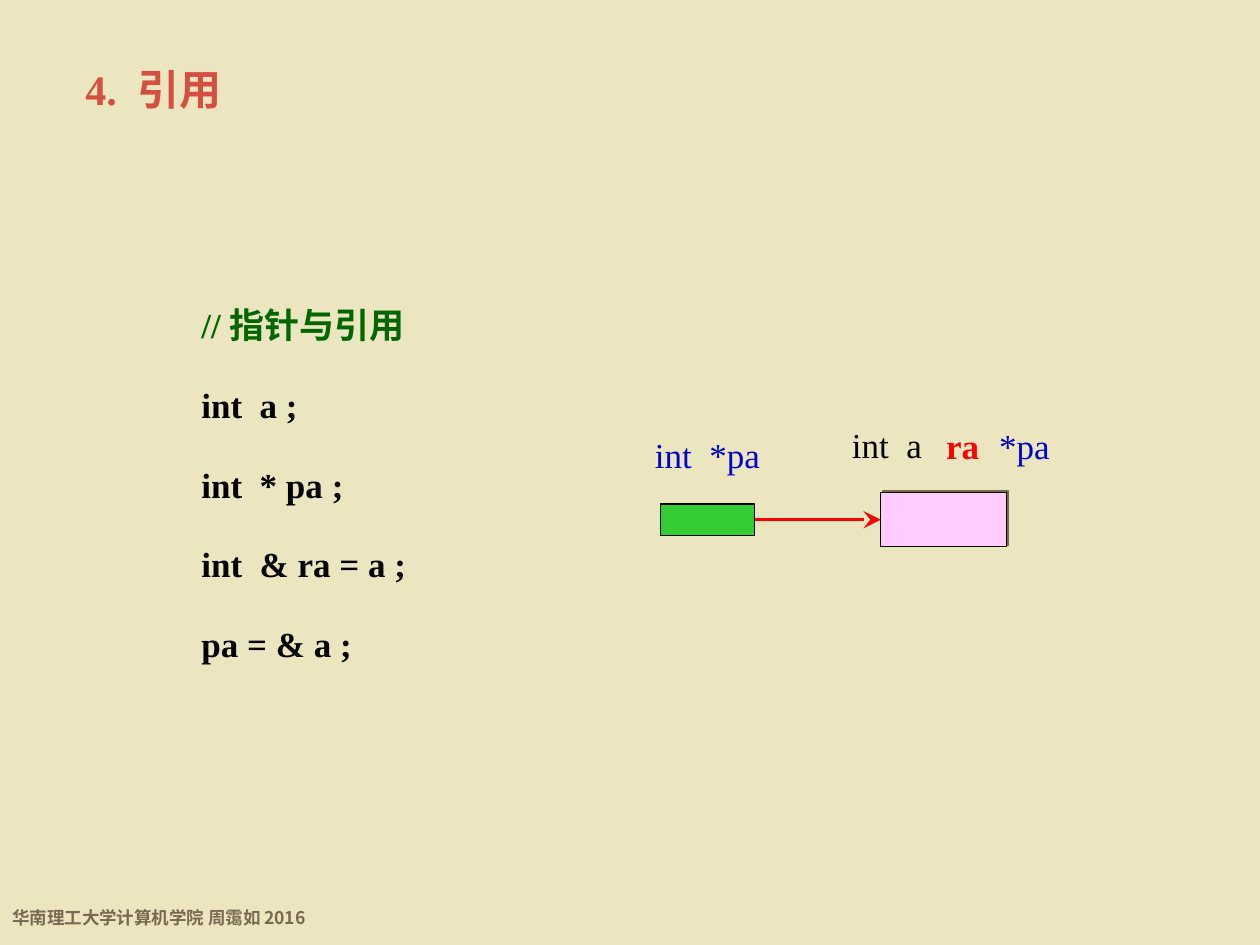
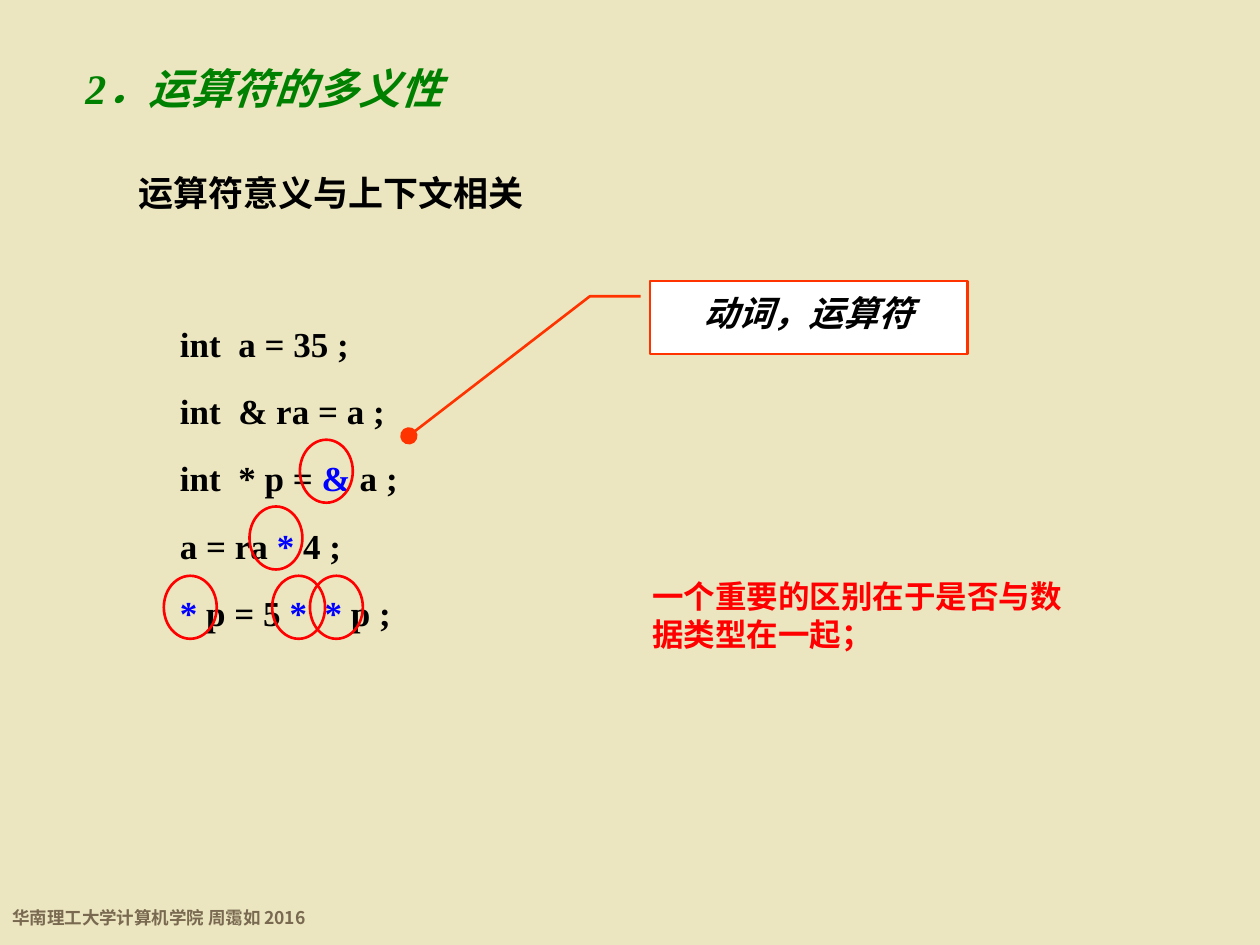
import pptx
import pptx.dml.color
import pptx.enum.dml
import pptx.enum.shapes
import pptx.enum.text
import pptx.oxml.ns
import pptx.util
from lxml import etree

Inches = pptx.util.Inches
Pt = pptx.util.Pt
SHAPE = pptx.enum.shapes.MSO_SHAPE
ALIGN = pptx.enum.text.PP_ALIGN
qn = pptx.oxml.ns.qn

SERIF = "Times New Roman"
SANS = "Noto Sans CJK SC"
BACKGROUND, FOOTER_BROWN = "ECE6C0", "786950"
BLACK, RED, POINTER_BLUE = "000000", "FF0000", "0000CC"


def color(hex_code):
    return pptx.dml.color.RGBColor.from_string(hex_code)


def write(shape, lines, size=20, ink=BLACK, bold=True, italic=False, font=SERIF,
          spacing=1.0, align=ALIGN.LEFT, wrap=True, grow=True):
    """Each line is a list of runs; the line's style is set on its paragraph."""
    frame = shape.text_frame
    frame.word_wrap = wrap
    frame.vertical_anchor = pptx.enum.text.MSO_ANCHOR.TOP
    if grow:
        frame.auto_size = pptx.enum.text.MSO_AUTO_SIZE.SHAPE_TO_FIT_TEXT
    for i, runs in enumerate(lines):
        paragraph = frame.add_paragraph() if i else frame.paragraphs[0]
        paragraph.alignment, paragraph.line_spacing = align, spacing
        style = paragraph.font
        style.size, style.name = Pt(size), font
        style.bold, style.italic = bold, italic
        style.color.rgb = color(ink)
        for words in runs:
            paragraph.add_run().text = words
    return frame


prs = pptx.Presentation()
prs.slide_width, prs.slide_height = Inches(10), Inches(7.5)
blank = prs.slide_layouts[6]

# Shared background and footer
prs.slide_master.background.fill.solid()
prs.slide_master.background.fill.fore_color.rgb = color(BACKGROUND)
reference_slide, operator_slide = [prs.slides.add_slide(blank) for _ in range(2)]
for slide in prs.slides:
    footer = slide.shapes.add_textbox(Inches(0), Inches(7.08), Inches(2.66), Inches(0.34))
    write(footer, [["华南理工大学计算机学院 周霭如 2016"]], size=10, ink=FOOTER_BROWN,
          font=SANS, spacing=1.4, wrap=False)

# Slide 1: title
shapes = reference_slide.shapes
title = shapes.add_textbox(Inches(0.58), Inches(0.33), Inches(8.92), Inches(0.75))
write(title, [["4.  引用"]], size=24, ink="D54F41", grow=False)
title.text_frame.vertical_anchor = pptx.enum.text.MSO_ANCHOR.MIDDLE

# Declarations under a green comment
declarations = shapes.add_textbox(Inches(1.5), Inches(2.06), Inches(3.25), Inches(3.27))
frame = write(declarations, [["// 指针与引用"], ["int  a ;"], ["int  * pa ;"],
                             ["int  & ra = a ;"], ["pa = & a ;"]], spacing=1.9)
frame.paragraphs[0].font.color.rgb = color("006600")

# Memory cells: the pointer and its target
cells = []
for left, top, width, height, fill in [(5.24, 4, 0.75, 0.25, "33CC33"),
                                       (6.99, 3.91, 1, 0.43, "FFCCFF")]:
    cell = shapes.add_shape(SHAPE.RECTANGLE, Inches(left), Inches(top),
                            Inches(width), Inches(height))
    cell.shadow.inherit = False
    cell.fill.solid()
    cell.fill.fore_color.rgb = color(fill)
    cell.line.color.rgb = color(BLACK)
    cell.line.width = Pt(0.75)
    cells.append(cell)
pointer_cell, target_cell = cells

# Hard shadow up and to the right of the target
effects = target_cell._element.spPr.find(qn("a:effectLst"))
shadow = etree.SubElement(effects, qn("a:outerShdw"), blurRad="0", dist=str(Pt(1.4)),
                          dir=str(315 * 60000), algn="ctr", rotWithShape="0")
etree.SubElement(shadow, qn("a:srgbClr"), val=FOOTER_BROWN)

# Arrow from the pointer to the target
arrow = shapes.add_connector(pptx.enum.shapes.MSO_CONNECTOR.STRAIGHT,
                             Inches(5.99), Inches(4.12), Inches(6.99), Inches(4.12))
arrow.begin_connect(pointer_cell, 3)
arrow.end_connect(target_cell, 1)
arrow.line.color.rgb = color(RED)
arrow.line.width = Pt(1.5)
etree.SubElement(arrow.line._get_or_add_ln(), qn("a:tailEnd"), type="stealth",
                 w="lg", len="lg")
etree.SubElement(arrow._element.spPr, qn("a:effectLst"))

# Names of the cells, in boxes a little wider than their words
for left, top, width, words, ink, bold in [
        (5.05, 3.39, 1.13, "int  *pa", POINTER_BLUE, False),
        (6.61, 3.31, 0.86, "int  a", BLACK, False),
        (7.8, 3.32, 0.66, "*pa", POINTER_BLUE, False),
        (7.38, 3.32, 0.52, "ra", RED, True)]:
    cell_name = shapes.add_textbox(Inches(left), Inches(top), Inches(width), Inches(0.43))
    write(cell_name, [[words]], ink=ink, bold=bold, align=ALIGN.CENTER, wrap=False)

# Slide 2: subtitle and title
shapes = operator_slide.shapes
subtitle = shapes.add_textbox(Inches(1), Inches(1.08), Inches(8.58), Inches(0.67))
write(subtitle, [["运算符意义与上下文相关"]], spacing=1.7)
title = shapes.add_textbox(Inches(0.58), Inches(0.13), Inches(8.67), Inches(0.82))
write(title, [["2．运算符的多义性"]], size=24, ink="008000", italic=True, spacing=1.8)

# Code: every second run is an operator, shown in blue
code = shapes.add_textbox(Inches(1.33), Inches(2.31), Inches(4.42), Inches(2.77))
frame = write(code, [["int  a = 35 ;"],
                     ["int  & ra = a ;"],
                     ["int  * p =", " &", " a ;"],
                     ["a = ra ", "*", " 4 ;"],
                     ["", "*", " p = 5 ", "*  *", " p ;"]], spacing=1.6)
for paragraph in frame.paragraphs:
    for operator in paragraph.runs[1::2]:
        operator.font.color.rgb = color("0000FF")

# Callout on the operators
callout = shapes.add_shape(SHAPE.LINE_CALLOUT_2, Inches(5.16), Inches(2.23),
                           Inches(2.52), Inches(0.58))
for i, ratio in enumerate([0.21, -0.03, 0.21, -0.19, 2.12, -0.76]):
    callout.adjustments[i] = ratio
callout.shadow.inherit = False
callout.fill.solid()
callout.fill.fore_color.rgb = color("FFFFFF")
callout.line.color.rgb = color("FF3300")
callout.line.width = Pt(1.5)
etree.SubElement(callout.line._get_or_add_ln(), qn("a:tailEnd"), type="oval",
                 w="lg", len="lg")
write(callout, [["动词，运算符"]], italic=True, spacing=1.1, align=ALIGN.CENTER, grow=False)

# Rings around the operators
for left, top in [(2.38, 3.49), (1.98, 4.02), (1.3, 4.57), (2.16, 4.57), (2.46, 4.57)]:
    ring = shapes.add_shape(SHAPE.OVAL, Inches(left), Inches(top), Inches(0.42), Inches(0.5))
    ring.shadow.inherit = False
    ring.fill.background()
    ring.line.color.rgb = color(RED)
    ring.line.width = Pt(1.5)

# Remark
remark = shapes.add_textbox(Inches(5.08), Inches(4.53), Inches(3.59), Inches(0.71))
write(remark, [["一个重要的区别在于是否与数据类型在一起；"]], size=18, ink=RED)

prs.save("out.pptx")
